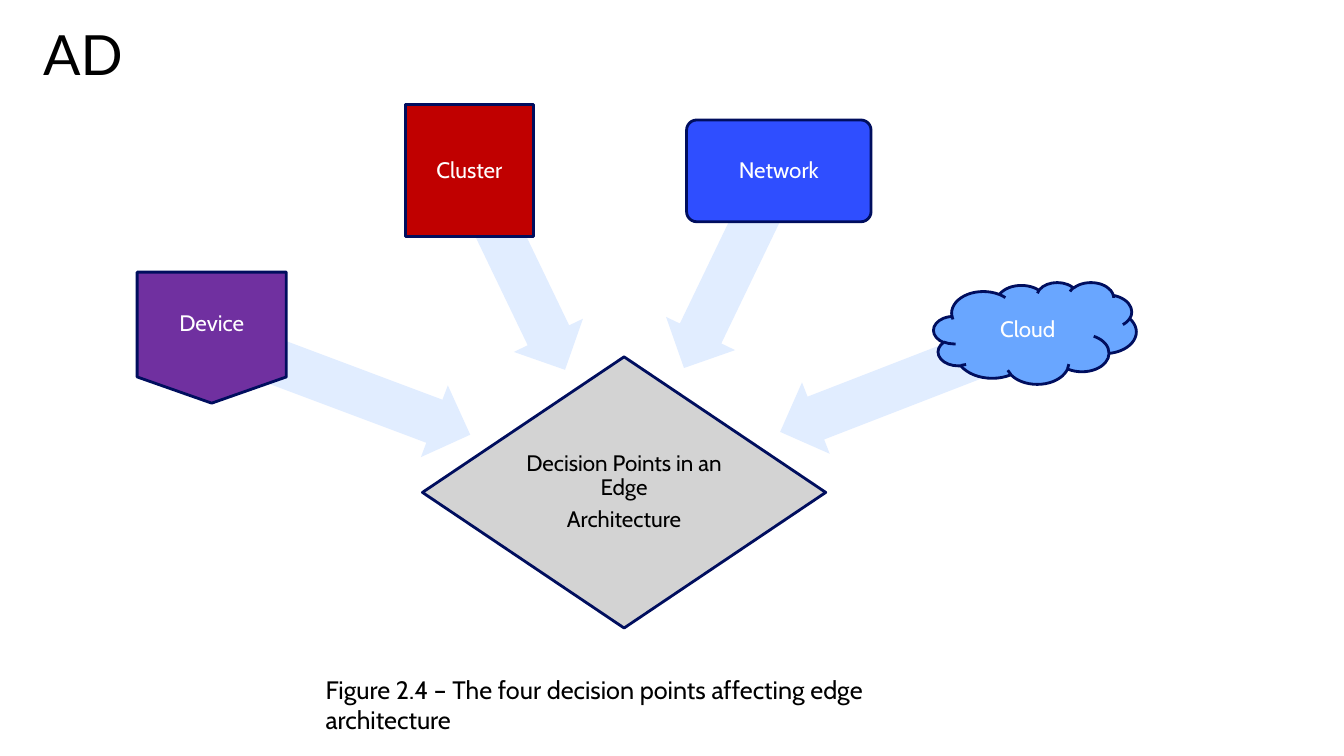
import math

from pptx import Presentation
from pptx.dml.color import RGBColor
from pptx.enum.shapes import MSO_SHAPE
from pptx.enum.text import MSO_ANCHOR, PP_ALIGN
from pptx.util import Inches, Pt

DIAMOND = MSO_SHAPE.DIAMOND
LEFT_ARROW = MSO_SHAPE.LEFT_ARROW
PENTAGON_DOWN = MSO_SHAPE.FLOWCHART_OFFPAGE_CONNECTOR
RECTANGLE = MSO_SHAPE.RECTANGLE
ROUNDED_RECTANGLE = MSO_SHAPE.ROUNDED_RECTANGLE
CLOUD = MSO_SHAPE.CLOUD
CENTER = PP_ALIGN.CENTER
LEFT = PP_ALIGN.LEFT
MIDDLE = MSO_ANCHOR.MIDDLE
TOP = MSO_ANCHOR.TOP

BLACK, WHITE = "000000", "FFFFFF"
OUTLINE = "000E5E"
ARROW_FILL = "E1EDFF"
ARROW_THICKNESS = 0.76
HUB_BOX = (4.19, 3.54, 4, 2.69)

# Label, shape, fill, box, arrow length, distance from hub centre to arrow tip
DECISION_POINTS = [
    ("Device", PENTAGON_DOWN, "7030A0", (1.36, 2.7, 1.48, 1.3), 2.37, 1.63),
    ("Cluster", RECTANGLE, "C00000", (4.02, 1.04, 1.27, 1.31), 2, 1.35),
    ("Network", ROUNDED_RECTANGLE, "2F4EFF", (6.81, 1.19, 1.83, 1.01), 2, 1.37),
    ("Cloud", CLOUD, "69A6FF", (9.26, 2.8, 2.01, 1.01), 2.38, 1.66),
]


def rgb(value):
    return RGBColor.from_string(value)


def inches(box):
    return [Inches(length) for length in box]


def center_of(box):
    left, top, width, height = box
    return left + width / 2, top + height / 2


def add_text(shape, lines, size, color, font="Cabin", align=CENTER,
             anchor=MIDDLE, spacing=0.9, after=0, inset=None):
    frame = shape.text_frame
    frame.word_wrap = True
    frame.vertical_anchor = anchor
    if inset is not None:
        frame.margin_left = frame.margin_right = Inches(inset)
        frame.margin_top = frame.margin_bottom = Inches(inset)
    for index, line in enumerate(lines):
        paragraph = frame.add_paragraph() if index else frame.paragraphs[0]
        paragraph.alignment = align
        paragraph.line_spacing = spacing
        paragraph.space_after = Pt(after)
        run = paragraph.add_run()
        run.text = line
        run.font.size = Pt(size)
        run.font.name = font
        run.font.color.rgb = rgb(color)


def add_filled_shape(slide, kind, box, fill, outline=None):
    shape = slide.shapes.add_shape(kind, *inches(box))
    shape.shadow.inherit = False
    shape.fill.solid()
    shape.fill.fore_color.rgb = rgb(fill)
    if outline:
        shape.line.color.rgb = rgb(outline)
        shape.line.width = Pt(2)
    else:
        shape.line.fill.background()
    return shape


def add_title(slide, box):
    title = slide.shapes.add_textbox(*inches(box))
    add_text(title, ["AD"], 39.6, BLACK, font="Lato", align=LEFT)


def add_hub(slide, box):
    hub = add_filled_shape(slide, DIAMOND, box, "D3D3D3", OUTLINE)
    add_text(hub, ["Decision Points in an Edge", "Architecture"], 16, BLACK,
             after=5.6, inset=0.01)


def add_arrow(slide, node_box, hub_box, length, tip_distance):
    """Lay an arrow on the line from the node's centre to the hub's centre."""
    node_x, node_y = center_of(node_box)
    hub_x, hub_y = center_of(hub_box)
    angle = math.atan2(node_y - hub_y, node_x - hub_x)
    distance = tip_distance + length / 2
    left = hub_x + distance * math.cos(angle) - length / 2
    top = hub_y + distance * math.sin(angle) - ARROW_THICKNESS / 2
    arrow = add_filled_shape(slide, LEFT_ARROW,
                             (left, top, length, ARROW_THICKNESS), ARROW_FILL)
    arrow.adjustments[0] = 0.6
    arrow.adjustments[1] = 0.5
    arrow.rotation = math.degrees(angle) % 360


def add_node(slide, label, kind, fill, box):
    node = add_filled_shape(slide, kind, box, fill, OUTLINE)
    if kind == ROUNDED_RECTANGLE:
        node.adjustments[0] = 0.1
    add_text(node, [label], 16, WHITE, after=5.6, inset=0.03)


def add_caption(slide, box):
    caption = slide.shapes.add_textbox(*inches(box))
    add_text(caption,
             ["Figure 2.4 – The four decision points affecting edge architecture"],
             18, BLACK, align=LEFT, anchor=TOP, spacing=1.0)


def main():
    presentation = Presentation()
    presentation.slide_width = Inches(13.33)
    presentation.slide_height = Inches(7.5)
    slide = presentation.slides.add_slide(presentation.slide_layouts[6])

    add_title(slide, (0.33, 0.29, 6, 0.56))
    add_hub(slide, HUB_BOX)
    for label, kind, fill, box, length, tip_distance in DECISION_POINTS:
        add_arrow(slide, box, HUB_BOX, length, tip_distance)
        add_node(slide, label, kind, fill, box)
    add_caption(slide, (3.13, 6.64, 6.71, 0.4))

    presentation.save("out.pptx")


if __name__ == "__main__":
    main()
